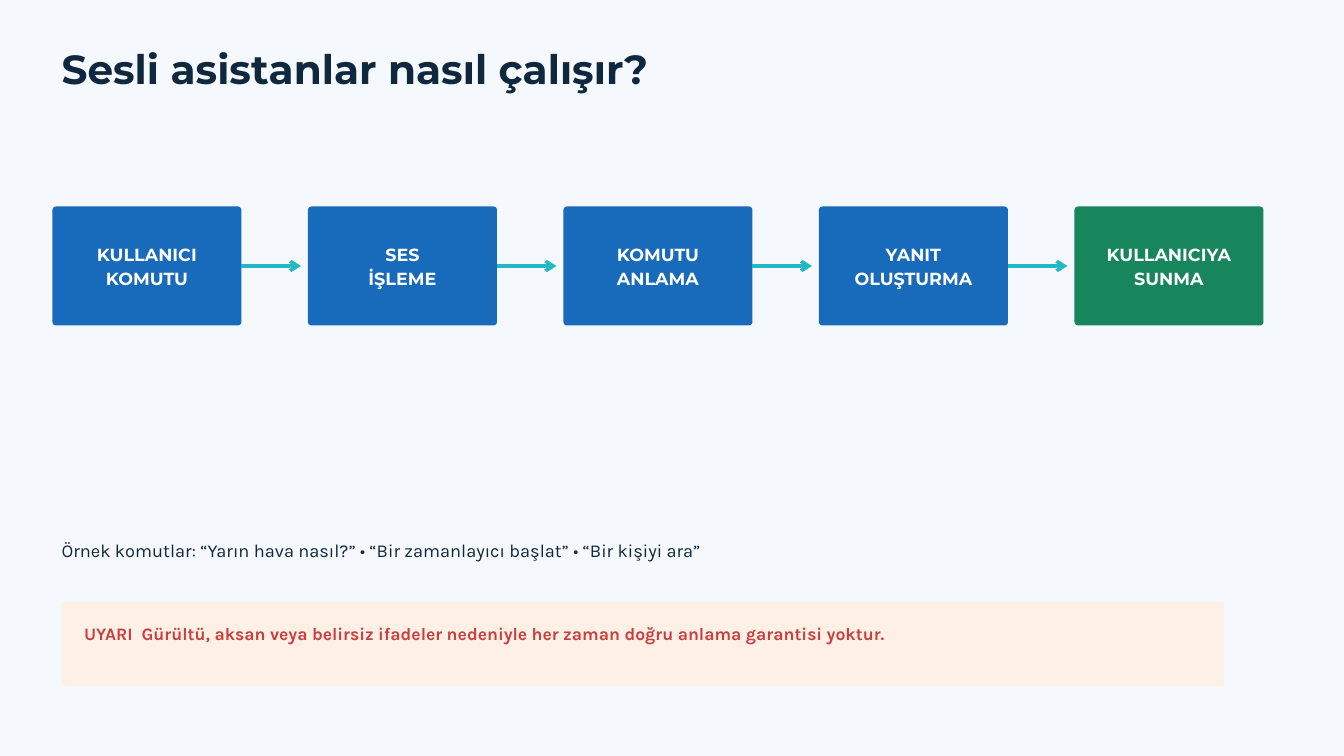
from pptx import Presentation
from pptx.dml.color import RGBColor
from pptx.enum.shapes import MSO_CONNECTOR, MSO_SHAPE
from pptx.enum.text import MSO_ANCHOR, MSO_AUTO_SIZE, PP_ALIGN
from pptx.oxml.ns import qn
from pptx.util import Emu, Pt
from lxml.etree import SubElement

PX = 9525
RIGHT_SIDE = 3


def px(length):
    return Emu(length * PX)


def colour(value):
    return RGBColor.from_string(value)


def write(frame, text, *, font, size, ink, spacing, bold=False,
          align=PP_ALIGN.LEFT, anchor=MSO_ANCHOR.TOP, insets=(0, 0, 0, 0)):
    frame.word_wrap = True
    frame.auto_size = MSO_AUTO_SIZE.NONE
    frame.vertical_anchor = anchor
    (frame.margin_left, frame.margin_top,
     frame.margin_right, frame.margin_bottom) = map(px, insets)
    frame.text = text
    for paragraph in frame.paragraphs:
        paragraph.alignment = align
        paragraph.line_spacing = Pt(spacing)
        paragraph.space_before = Pt(0)
        for run in paragraph.runs:
            run.font.name = font
            run.font.size = Pt(size)
            run.font.bold = bold
            run.font.color.rgb = colour(ink)


class Deck:
    heading_font = "Montserrat"
    body_font = "Karla"
    paper = "F5F8FC"
    ink = "10283D"
    white = "FFFFFF"
    blue = "176BBA"
    green = "17865C"
    teal = "24B8C4"
    peach = "FFF0E5"
    red = "C83F3F"

    def __init__(self, width, height):
        self.presentation = Presentation()
        self.presentation.slide_width = px(width)
        self.presentation.slide_height = px(height)
        self.slide = None

    def add_slide(self):
        self.slide = self.presentation.slides.add_slide(self.presentation.slide_layouts[5])
        background = self.slide.background.fill
        background.solid()
        background.fore_color.rgb = colour(self.paper)

    def title(self, text, left, top, width, height):
        heading = self.slide.shapes.title
        heading.left, heading.top = px(left), px(top)
        heading.width, heading.height = px(width), px(height)
        write(heading.text_frame, text, font=self.heading_font, size=43.5,
              ink=self.ink, spacing=45.7, bold=True)

    def panel(self, kind, fill, left, top, width, height):
        panel = self.slide.shapes.add_shape(kind, px(left), px(top), px(width), px(height))
        panel.shadow.inherit = False
        panel.fill.solid()
        panel.fill.fore_color.rgb = colour(fill)
        panel.line.fill.background()
        return panel

    def step(self, text, fill, left, top, width, height):
        step = self.panel(MSO_SHAPE.ROUNDED_RECTANGLE, fill, left, top, width, height)
        step.adjustments[0] = 0.03
        write(step.text_frame, text, font=self.heading_font, size=18.8,
              ink=self.white, spacing=26.2, bold=True, align=PP_ALIGN.CENTER,
              anchor=MSO_ANCHOR.MIDDLE, insets=(6, 6, 6, 9))
        return step

    def arrow(self, step, length):
        start = step.left + step.width
        middle = step.top + step.height // 2
        arrow = self.slide.shapes.add_connector(
            MSO_CONNECTOR.STRAIGHT, start, middle, start + px(length), middle)
        arrow.begin_connect(step, RIGHT_SIDE)
        arrow.line.color.rgb = colour(self.teal)
        arrow.line.width = Pt(3.75)
        properties = arrow.element.spPr
        SubElement(properties.find(qn("a:ln")), qn("a:tailEnd"), type="arrow")
        SubElement(properties, qn("a:effectLst"))

    def note(self, text, left, top, width, height):
        note = self.slide.shapes.add_textbox(px(left), px(top), px(width), px(height))
        write(note.text_frame, text, font=self.body_font, size=19.5,
              ink=self.ink, spacing=25.7)

    def warning(self, text, left, top, width, height):
        warning = self.panel(MSO_SHAPE.RECTANGLE, self.peach, left, top, width, height)
        write(warning.text_frame, text, font=self.body_font, size=18.8,
              ink=self.red, spacing=23.4, bold=True, insets=(32, 29, 32, 0))


def main():
    deck = Deck(1920, 1080)
    deck.add_slide()
    deck.title("Sesli asistanlar nasıl çalışır?", 88, 72, 1250, 61)

    stages = ["KULLANICI\nKOMUTU", "SES\nİŞLEME", "KOMUTU\nANLAMA",
              "YANIT\nOLUŞTURMA", "KULLANICIYA\nSUNMA"]
    last = len(stages) - 1
    for index, stage in enumerate(stages):
        fill = deck.green if index == last else deck.blue
        step = deck.step(stage, fill, 75 + 365 * index, 295, 270, 170)
        if index < last:
            deck.arrow(step, 85)

    deck.note("Örnek komutlar: “Yarın hava nasıl?” • “Bir zamanlayıcı başlat” • “Bir kişiyi ara”",
              88, 768, 1450, 33)
    deck.warning("UYARI  Gürültü, aksan veya belirsiz ifadeler nedeniyle "
                 "her zaman doğru anlama garantisi yoktur.", 88, 860, 1660, 120)
    deck.presentation.save("out.pptx")


if __name__ == "__main__":
    main()
